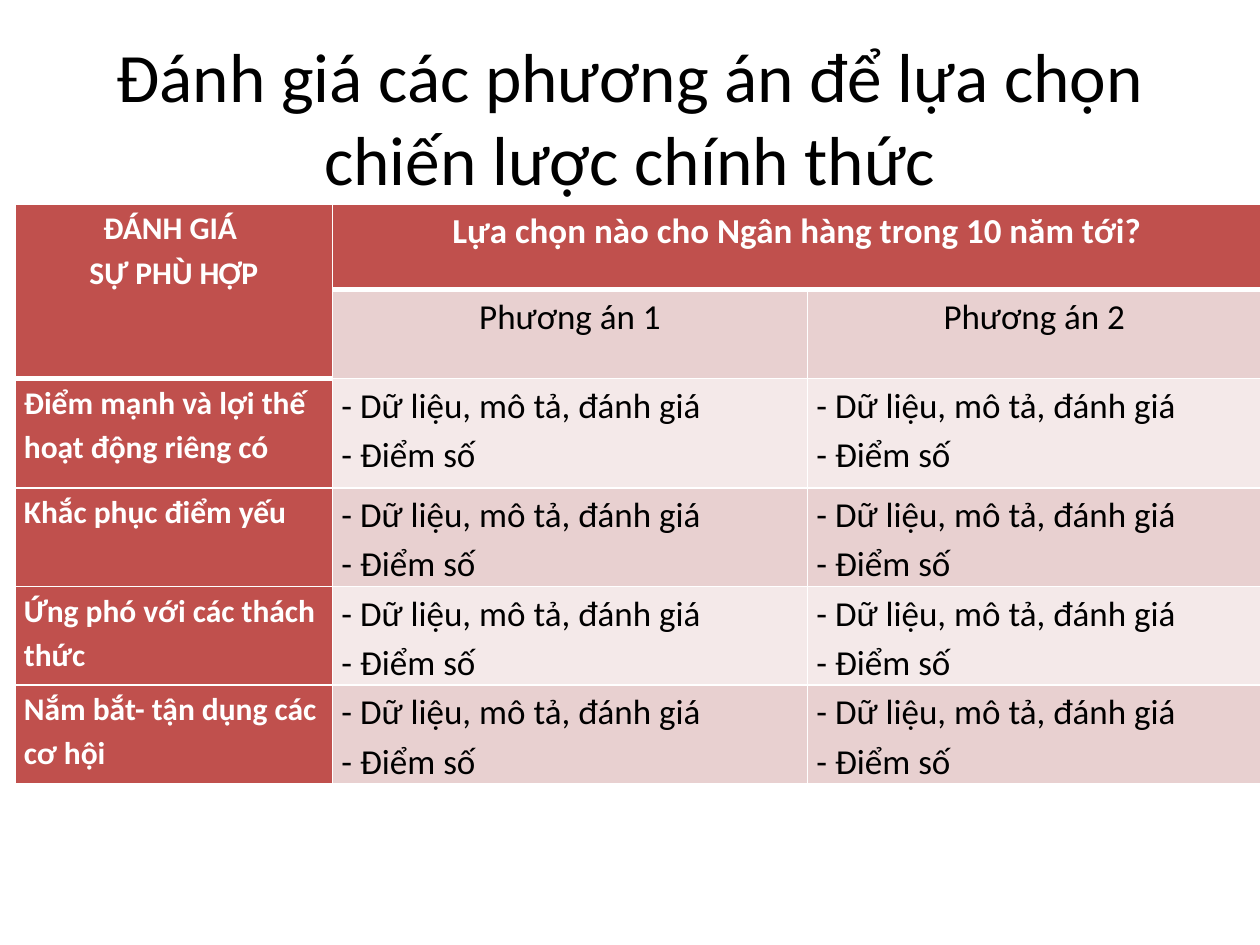
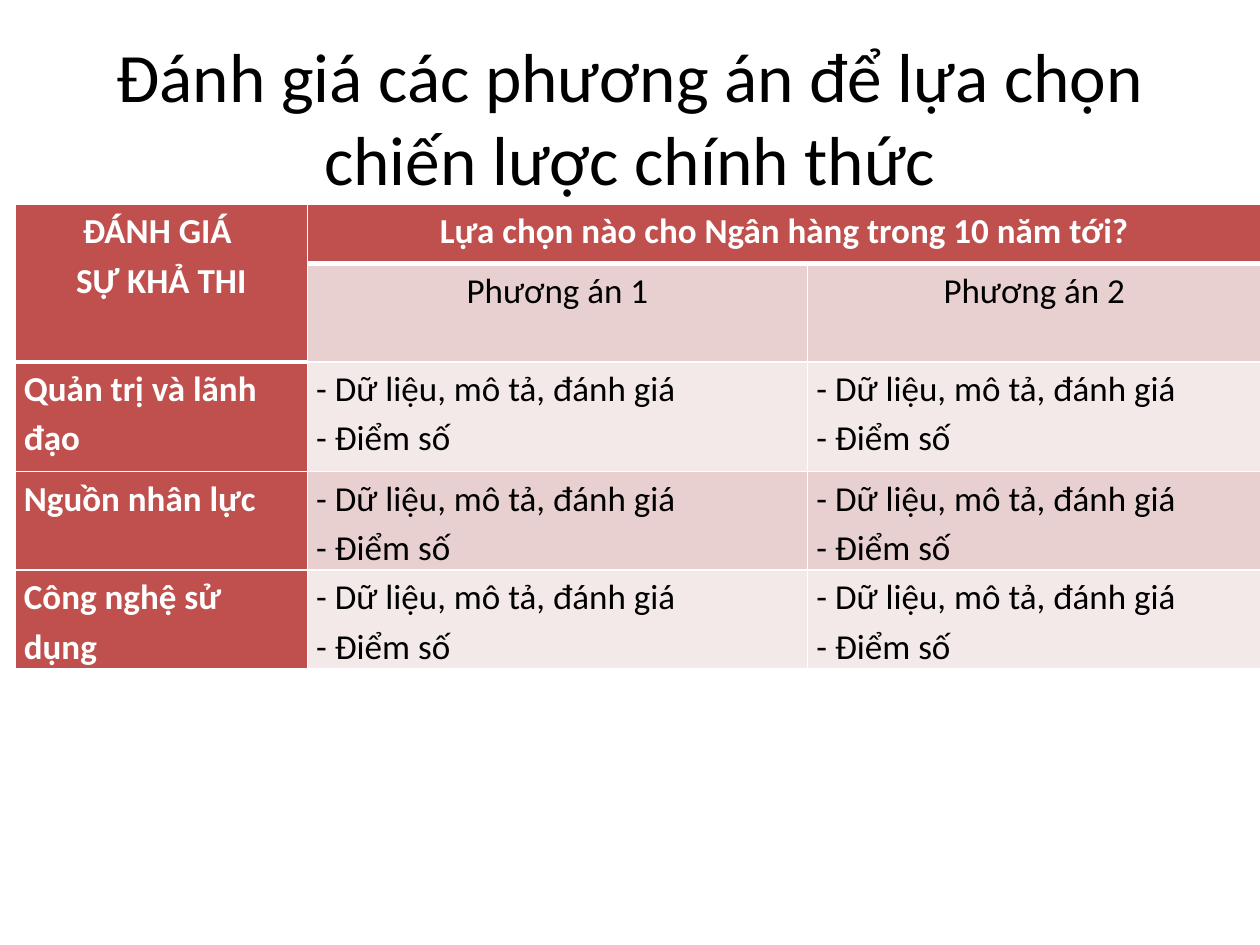
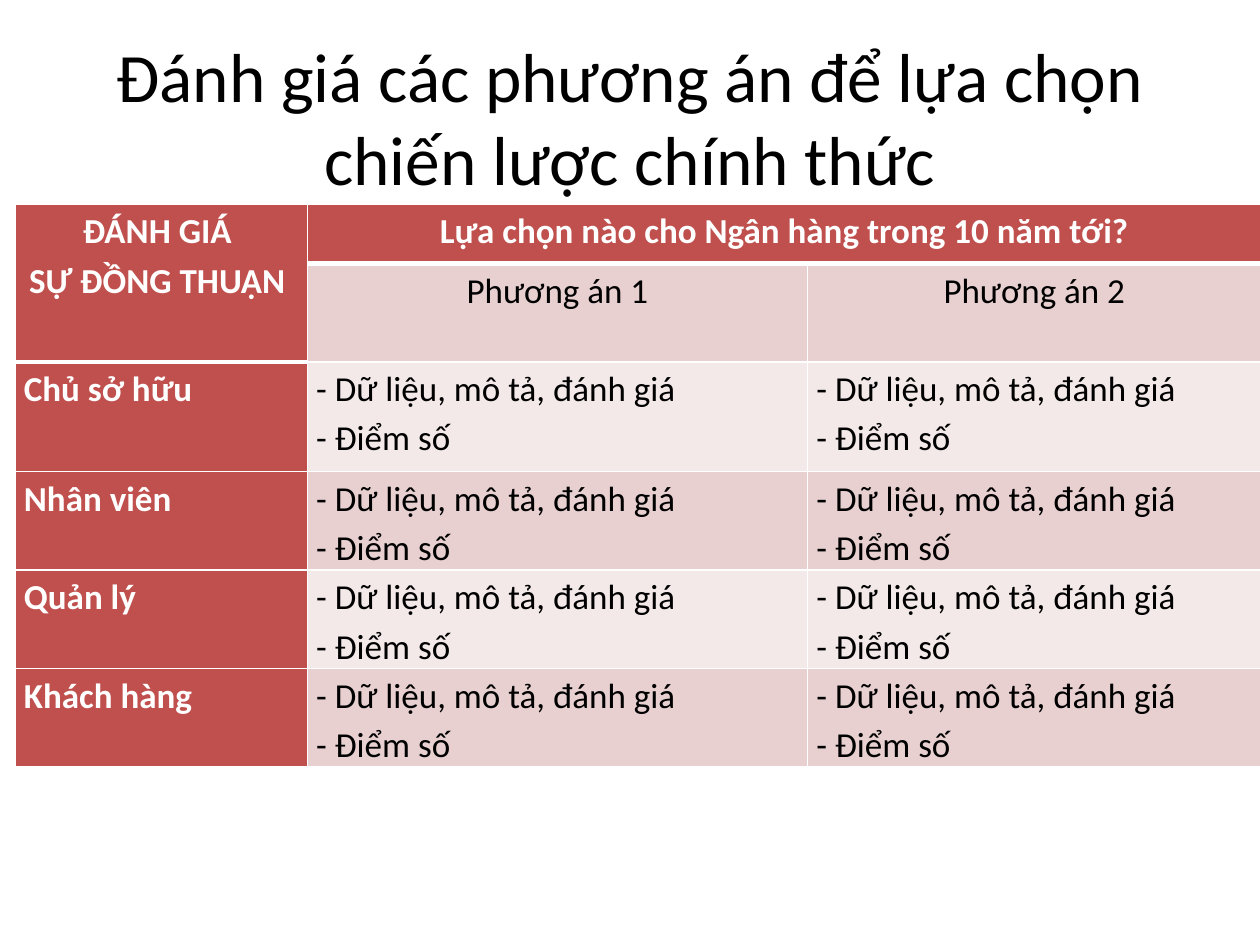
import lxml.etree
import pptx
import pptx.dml.color
import pptx.enum.text
import pptx.oxml.ns
import pptx.util

Inches = pptx.util.Inches
Pt = pptx.util.Pt
ALIGN = pptx.enum.text.PP_ALIGN
qn = pptx.oxml.ns.qn

FONT = "Calibri"
COLORS = {
    "head": "C0504D",
    "dark": "E8D0D0",
    "light": "F4E9E9",
    "white": "FFFFFF",
    "black": "000000",
}
TITLE = "Đánh giá các phương án để lựa chọn chiến lược chính thức"
ASK = "Lựa chọn nào cho Ngân hàng trong 10 năm tới?"
PLANS = ["Phương án 1", "Phương án 2"]
POINTS = ["- Dữ liệu, mô tả, đánh giá", "- Điểm số"]
LEFT, TOP = 0.12, 1.62
TABLES = [
    {
        "head": ["ĐÁNH GIÁ ", "SỰ PHÙ HỢP"],
        "labels": [
            "Điểm mạnh và lợi thế hoạt động riêng có",
            "Khắc phục điểm yếu",
            "Ứng phó với các thách thức",
            "Nắm bắt- tận dụng các cơ hội",
        ],
        "size": 18,
        "cols": [2.52, 3.77, 3.6],
        "tops": [0.68, 0.7],
    },
    {
        "head": ["ĐÁNH GIÁ ", "SỰ KHẢ THI"],
        "labels": ["Quản trị và lãnh đạo", "Nguồn nhân lực", "Công nghệ sử dụng"],
        "size": 20,
        "cols": [2.32, 3.97, 3.6],
        "tops": [0.47, 0.78],
    },
    {
        "head": ["ĐÁNH GIÁ ", "SỰ ĐỒNG THUẬN "],
        "labels": ["Chủ sở hữu", "Nhân viên", "Quản lý", "Khách hàng"],
        "size": 20,
        "cols": [2.32, 3.97, 3.6],
        "tops": [0.47, 0.78],
    },
]


def paint(name):
    return pptx.dml.color.RGBColor.from_string(COLORS[name])


def add_text(frame, lines, size, color, align, bold=False, space=None):
    """Write each line as one paragraph holding one run."""
    for i, line in enumerate(lines):
        para = frame.paragraphs[0] if i == 0 else frame.add_paragraph()
        para.alignment = align
        para.line_spacing = space
        run = para.add_run()
        run.text = line
        run.font.name = FONT
        run.font.size = Pt(size)
        run.font.bold = bold
        run.font.color.rgb = paint(color)


def add_title(slide):
    title = slide.shapes.title
    title.left, title.top = Inches(0.5), Inches(0.3)
    title.width, title.height = Inches(9), Inches(1.25)
    frame = title.text_frame
    frame.word_wrap = True
    frame.auto_size = pptx.enum.text.MSO_AUTO_SIZE.NONE
    frame.vertical_anchor = pptx.enum.text.MSO_ANCHOR.MIDDLE
    add_text(frame, [TITLE], 39.6, "black", ALIGN.CENTER)


def add_edge(cell, side, width):
    props = cell._tc.get_or_add_tcPr()
    line = lxml.etree.SubElement(props, qn("a:ln" + side), w=str(Pt(width)))
    fill = lxml.etree.SubElement(line, qn("a:solidFill"))
    lxml.etree.SubElement(fill, qn("a:srgbClr"), val=COLORS["white"])


def under(row, col):
    """Line width below a cell: thick only under the header block."""
    return 3 if row == (1 if col == 0 else 0) else 1


def style_cell(cell, row, col):
    cell.margin_left = cell.margin_right = Inches(0.07)
    cell.margin_top = cell.margin_bottom = 0
    widths = {"L": 1, "R": 1, "T": under(row - 1, col), "B": under(row, col)}
    for side, width in widths.items():
        add_edge(cell, side, width)
    band = "dark" if row % 2 else "light"
    cell.fill.solid()
    cell.fill.fore_color.rgb = paint("head" if row == 0 or col == 0 else band)


def fill_cell(cell, lines, size, align, head=False):
    color = "white" if head else "black"
    add_text(cell.text_frame, lines, size, color, align, head, 1.15)


def add_grid(slide, data):
    cols = data["cols"]
    rows = data["tops"] + [0.87] + [0.78] * (len(data["labels"]) - 1)
    grid = slide.shapes.add_table(
        len(rows), len(cols), Inches(LEFT), Inches(TOP),
        Inches(sum(cols)), Inches(sum(rows))).table
    grid.first_row = grid.horz_banding = False
    for col, width in zip(grid.columns, cols):
        col.width = Inches(width)
    for row, height in zip(grid.rows, rows):
        row.height = Inches(height)
    for r in range(len(rows)):
        for c in range(len(cols)):
            style_cell(grid.cell(r, c), r, c)
    grid.cell(0, 0).merge(grid.cell(1, 0))
    grid.cell(0, 1).merge(grid.cell(0, 2))

    fill_cell(grid.cell(0, 0), data["head"], data["size"], ALIGN.CENTER, True)
    fill_cell(grid.cell(0, 1), [ASK], 20, ALIGN.CENTER, True)
    for c, plan in enumerate(PLANS, 1):
        fill_cell(grid.cell(1, c), [plan], 20, ALIGN.CENTER)
    for r, label in enumerate(data["labels"], 2):
        fill_cell(grid.cell(r, 0), [label], data["size"], ALIGN.LEFT, True)
        for c in range(1, len(cols)):
            fill_cell(grid.cell(r, c), POINTS, 20, ALIGN.JUSTIFY)


def main():
    deck = pptx.Presentation()
    deck.slide_width, deck.slide_height = Inches(10), Inches(7.5)
    layout = deck.slide_layouts.get_by_name("Title Only")
    for data in TABLES:
        slide = deck.slides.add_slide(layout)
        add_title(slide)
        add_grid(slide, data)
    deck.save("out.pptx")


if __name__ == "__main__":
    main()
